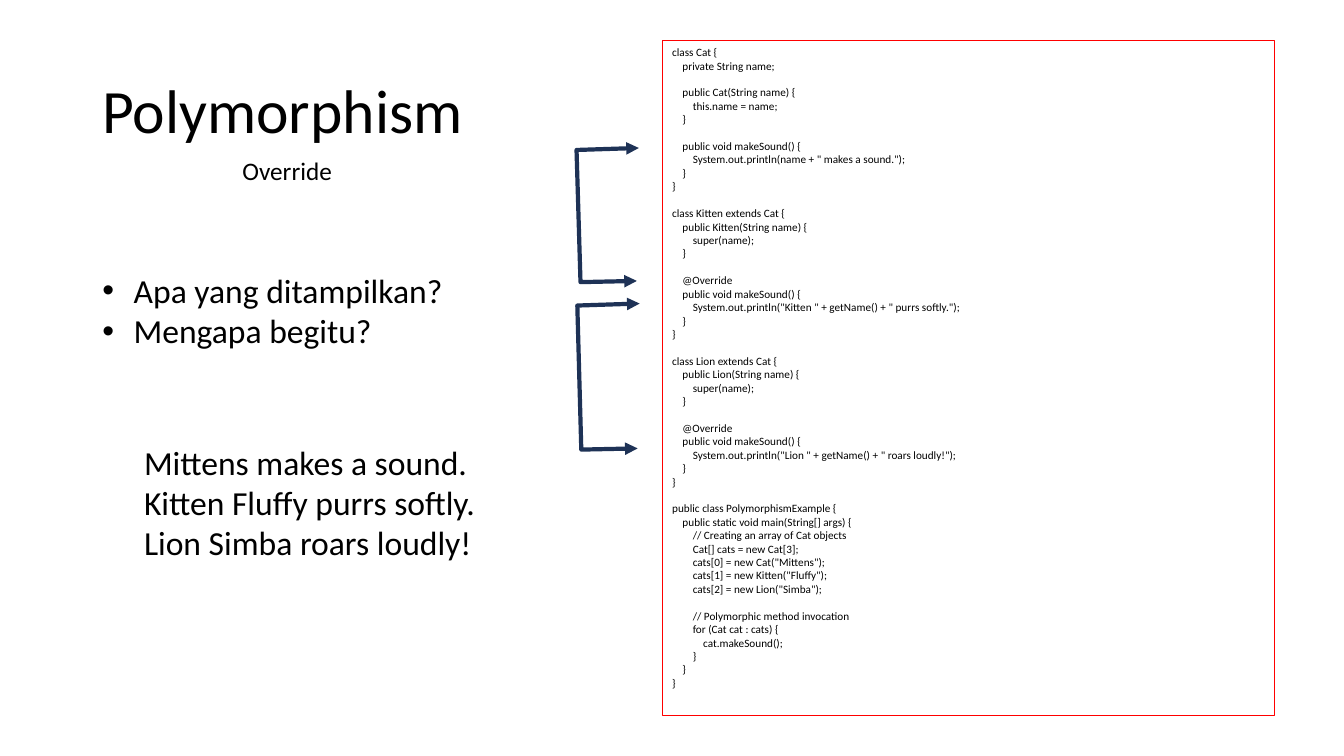
import pptx
import pptx.util
import pptx.dml.color
import pptx.enum.shapes
import pptx.enum.text
import lxml.etree

Cm, Pt = pptx.util.Cm, pptx.util.Pt
HUES = {"ink": "000000", "frame": "FF0000", "arrow": "1E3256"}
FONT = "Calibri"
STEP = 0.26  # cm of indent for each four spaces of code
LINE = 9.6  # pt, height of one line of code

BASE = """class Cat {
    private String name;

    public Cat(String name) {
        this.name = name;
    }

    public void makeSound() {
        System.out.println(name + " makes a sound.");
    }
}"""

CHILD = """class KIND extends Cat {
    public KIND(String name) {
        super(name);
    }

    @Override
    public void makeSound() {
        System.out.println("KIND " + getName() + " NOISE");
    }
}"""

START = """public class PolymorphismExample {
    public static void main(String[] args) {
        // Creating an array of Cat objects
        Cat[] cats = new Cat[3];
        cats[0] = new Cat("Mittens");
        cats[1] = new Kitten("Fluffy");
        cats[2] = new Lion("Simba");

        // Polymorphic method invocation
        for (Cat cat : cats) {
            cat.makeSound();
        }
    }
}"""

KINDS = {"Kitten": "purrs softly.", "Lion": "roars loudly!"}


def hue(name):
    """Return the named colour."""
    return pptx.dml.color.RGBColor.from_string(HUES[name])


def add_tag(node, tag, **attrs):
    """Append a DrawingML element to a node."""
    return lxml.etree.SubElement(node, pptx.oxml.ns.qn("a:" + tag), attrs)


def write(frame, text, size=24, bullet=False, space=None, middle=False):
    """Fill a text frame, turning leading spaces and empty lines into indents and gaps."""
    frame.word_wrap = True
    anchor = pptx.enum.text.MSO_ANCHOR
    frame.vertical_anchor = anchor.MIDDLE if middle else anchor.TOP
    gap, para = False, None
    for line in text.split("\n"):
        if not line:
            gap = True
            continue
        para = frame.add_paragraph() if para else frame.paragraphs[0]
        para.alignment = pptx.enum.text.PP_ALIGN.LEFT
        para.line_spacing = space
        words = line.lstrip()
        level = (len(line) - len(words)) // 4
        props = para._p.get_or_add_pPr()
        if level:
            props.set("marL", str(Cm(level * STEP)))
        if gap:
            para.space_before = Pt(LINE)
        if bullet:
            props.set("marL", str(Cm(0.79)))
            props.set("indent", str(-Cm(0.79)))
            add_tag(props, "buFont", typeface="Arial")
            add_tag(props, "buChar", char="•")
        run = para.add_run()
        run.text = words
        run.font.size, run.font.name = Pt(size), FONT
        run.font.color.rgb = hue("ink")
        gap = False


def add_text(slide, box, text, **form):
    """Put a text box at box."""
    write(slide.shapes.add_textbox(*map(Cm, box)).text_frame, text, **form)


def add_code(slide, box):
    """Put the framed code listing at box."""
    rect = pptx.enum.shapes.MSO_SHAPE.RECTANGLE
    panel = slide.shapes.add_shape(rect, *map(Cm, box))
    panel.shadow.inherit = False
    panel.fill.background()
    panel.line.color.rgb = hue("frame")
    panel.line.width = Pt(0.75)
    heirs = [CHILD.replace("KIND", kind).replace("NOISE", noise)
             for kind, noise in KINDS.items()]
    write(panel.text_frame, "\n\n".join([BASE, *heirs, START]), size=8)


def add_link(slide, box):
    """Draw a slightly tilted bracket with two arrowheads in box."""
    left, top, wide, high = box
    spots = [(wide, 0), (0, 0.05), (0.1, high), (wide - 0.05, high - 0.03)]
    spots = [(Cm(left + x), Cm(top + y)) for x, y in spots]
    pen = slide.shapes.build_freeform(*spots[0])
    pen.add_line_segments(spots[1:], close=False)
    link = pen.convert_to_shape()
    link.shadow.inherit = False
    link.fill.background()
    link.line.color.rgb = hue("arrow")
    link.line.width = Pt(3)
    for end in ("headEnd", "tailEnd"):
        add_tag(link.line._get_or_add_ln(), end, type="triangle")


def add_left(slide, box):
    """Place the title, questions and output in the left column."""
    x, y, wide, high = box
    add_text(slide, (x, y, wide, 3.68), "Polymorphism", size=44, space=0.9, middle=True)
    add_text(slide, (x + 3.53, y + 2.76, 4.06, 1.02), "Override", size=18)
    add_text(slide, (x, y + 5.66, 10.9, 2.31),
             "Apa yang ditampilkan?\nMengapa begitu?", bullet=True)
    add_text(slide, (x + 1.05, y + 9.98, 9.83, 3.33),
             "Mittens makes a sound.\nKitten Fluffy purrs softly.\nLion Simba roars loudly!")


def main():
    """Build the slide and save it."""
    deck = pptx.Presentation()
    deck.slide_width, deck.slide_height = Cm(33.87), Cm(19.05)
    slide = deck.slides.add_slide(deck.slide_layouts[6])
    add_left(slide, (2.33, 1.02, 12, 17.02))
    add_code(slide, (16.69, 1.02, 15.44, 17.02))
    for box in ((14.53, 3.73, 1.57, 3.38), (14.55, 7.65, 1.57, 3.68)):
        add_link(slide, box)
    deck.save("out.pptx")


main()
